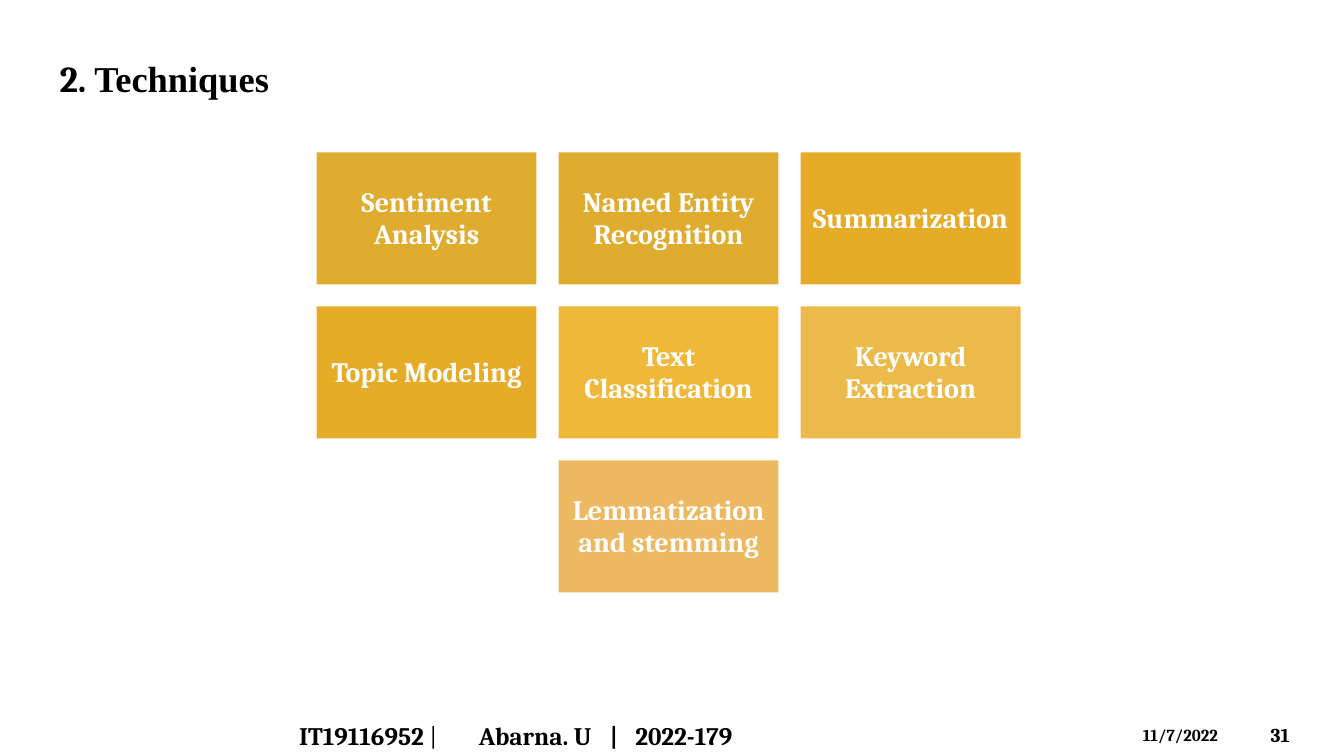
import pptx
import pptx.dml.color
import pptx.enum.shapes
import pptx.enum.text
import pptx.oxml
import pptx.util
from pptx.util import Cm


def color(hex_value):
    return pptx.dml.color.RGBColor.from_string(hex_value)


def style_text(frame, size, hex_value, align):
    frame.margin_left = frame.margin_right = frame.margin_top = frame.margin_bottom = 0
    for paragraph in frame.paragraphs:
        paragraph.alignment = align
        paragraph.font.name = "Cambria"
        paragraph.font.size = pptx.util.Pt(size)
        paragraph.font.bold = True
        paragraph.font.color.rgb = color(hex_value)


left_align = pptx.enum.text.PP_ALIGN.LEFT
center_align = pptx.enum.text.PP_ALIGN.CENTER

deck = pptx.Presentation()
deck.slide_width = Cm(33.87)
deck.slide_height = Cm(19.05)
slide = deck.slides.add_slide(deck.slide_layouts[5])

heading = slide.shapes.title
heading.left, heading.top, heading.width, heading.height = Cm(1.5), Cm(1.42), Cm(5.54), Cm(1.17)
heading_text = heading.text_frame
heading_text.word_wrap = False
heading_text.vertical_anchor = pptx.enum.text.MSO_ANCHOR.TOP
heading_line = heading_text.paragraphs[0]
heading_line.add_run().text = "2. "
heading_word = heading_line.add_run()
heading_word.text = "Techniques"
style_text(heading_text, 26, "000000", left_align)
heading_word.font.name = "Times New Roman"

techniques = [
    ("Sentiment\nAnalysis", "DFAC30", 0, 0),
    ("Named Entity\nRecognition", "DFAC30", 1, 0),
    ("Summarization", "E6AC27", 2, 0),
    ("Topic Modeling", "E6AC27", 0, 1),
    ("Text\nClassification", "EFB839", 1, 1),
    ("Keyword\nExtraction", "EBBA4A", 2, 1),
    ("Lemmatization\nand stemming", "ECB860", 1, 2),
]
for technique, fill, column, row in techniques:
    tile = slide.shapes.add_shape(
        pptx.enum.shapes.MSO_SHAPE.RECTANGLE,
        Cm(7.98 + 6.1 * column), Cm(3.84 + 3.88 * row), Cm(5.54), Cm(3.33))
    tile.shadow.inherit = False
    tile.fill.solid()
    tile.fill.fore_color.rgb = color(fill)
    tile.line.fill.background()
    tile.text_frame.text = technique
    tile.text_frame.vertical_anchor = pptx.enum.text.MSO_ANCHOR.MIDDLE
    style_text(tile.text_frame, 20, "FFFFFF", center_align)
    for line in tile.text_frame.paragraphs:
        line.line_spacing = pptx.util.Pt(22.6)

footer_parts = [
    (["IT19116952 ", "|"], 7.54, 18.14, 4.19, 0.81, 18, []),
    (["Abarna. U\t|\t2022-179"], 12.07, 18.14, 6.83, 0.81, 18, [3.3, 3.94]),
    (["11/7/2022"], 28.8, 18.26, 2.26, 0.56, 12, []),
    (["31"], 32.02, 18.21, 0.79, 0.66, 14, []),
]
for pieces, left, top, width, height, size, tab_stops in footer_parts:
    footer = slide.shapes.add_textbox(Cm(left), Cm(top), Cm(width), Cm(height))
    footer_line = footer.text_frame.paragraphs[0]
    for piece in pieces:
        footer_line.add_run().text = piece
    style_text(footer.text_frame, size, "000000", left_align)
    for separator in footer_line.runs[1:]:
        separator.font.bold = False
    if tab_stops:
        tab_list = pptx.oxml.parse_xml(
            '<a:tabLst xmlns:a="http://schemas.openxmlformats.org/drawingml/2006/main">'
            + "".join(f'<a:tab pos="{Cm(stop)}" algn="l"/>' for stop in tab_stops)
            + "</a:tabLst>")
        properties = footer_line._p.get_or_add_pPr()
        properties.insert(0, tab_list)

deck.save("out.pptx")
